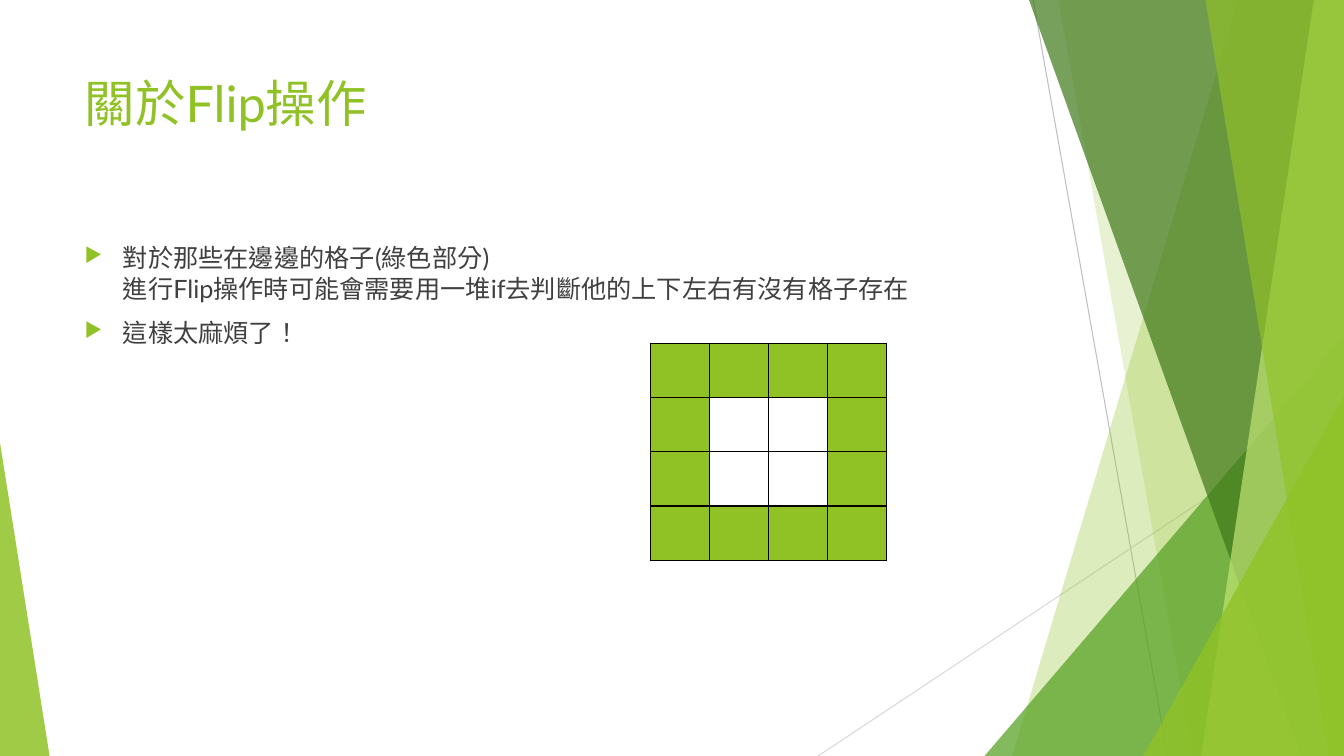
import pptx
import pptx.dml.color
import pptx.enum.lang
import pptx.enum.shapes
import pptx.enum.text
import pptx.oxml
import pptx.oxml.ns
import pptx.util
from lxml import etree

RGB = pptx.dml.color.RGBColor
LIME = RGB(0x90, 0xC2, 0x26)
GREEN = RGB(0x54, 0xA0, 0x21)
DARK_GREEN = RGB(0x3F, 0x78, 0x19)
PALE_LIME = RGB(0xC0, 0xE4, 0x74)
TEXT_GRAY = RGB(0x40, 0x40, 0x40)
LINE_GRAY = RGB(0xBF, 0xBF, 0xBF)
LIGHT_GRAY = RGB(0xD9, 0xD9, 0xD9)
WHITE = RGB(0xFF, 0xFF, 0xFF)
BLACK = RGB(0, 0, 0)

FONT = "Lato"
COLUMNS, ROWS = 160, 90
WIDTH, HEIGHT = pptx.util.Inches(13.33), pptx.util.Inches(7.5)
TEXT_LEFT, TEXT_WIDTH = 8.9, 112.8
BOARD_SIZE = 4


def grid_x(columns):
    return round(WIDTH * columns / COLUMNS)


def grid_y(rows):
    return round(HEIGHT * rows / ROWS)


def place(left, top, width, height):
    return grid_x(left), grid_y(top), grid_x(width), grid_y(height)


def add_xml(parent, tag, **attributes):
    return etree.SubElement(parent, pptx.oxml.ns.qn(tag), attributes)


def paint(shape, color, opacity):
    shape.shadow.inherit = False
    shape.line.fill.background()
    shape.fill.solid()
    shape.fill.fore_color.rgb = color
    color_node = shape.fill._xPr.find(".//" + pptx.oxml.ns.qn("a:srgbClr"))
    add_xml(color_node, "a:alpha", val=str(opacity * 1000))


def add_line(slide, start, end, color):
    line = slide.shapes.add_connector(
        pptx.enum.shapes.MSO_CONNECTOR.STRAIGHT,
        grid_x(start[0]), grid_y(start[1]), grid_x(end[0]), grid_y(end[1]))
    line.line.color.rgb = color
    line.line.width = pptx.util.Pt(0.75)
    add_xml(line._element.spPr, "a:effectLst")


def add_band(slide, top_left, bottom_left, color, opacity):
    """Fill from a slanted left edge to the right side of the slide."""
    builder = slide.shapes.build_freeform(grid_x(top_left), 0)
    corners = [(COLUMNS, 0), (COLUMNS, ROWS), (bottom_left, ROWS)]
    builder.add_line_segments([(grid_x(x), grid_y(y)) for x, y in corners], close=True)
    paint(builder.convert_to_shape(), color, opacity)


def add_triangle(slide, left, top, width, peak, color, opacity):
    """Stand a right triangle on the bottom edge, its peak at 0 (left) or 1 (right)."""
    triangle = slide.shapes.add_shape(
        pptx.enum.shapes.MSO_SHAPE.ISOSCELES_TRIANGLE,
        *place(left, top, width, ROWS - top))
    triangle.adjustments[0] = peak
    paint(triangle, color, opacity)


def add_span(para, text, size, color):
    span = para.add_run()
    span.text = text
    span.font.name = FONT
    span.font.size = pptx.util.Pt(size)
    span.font.color.rgb = color
    span.font.language_id = pptx.enum.lang.MSO_LANGUAGE_ID.TRADITIONAL_CHINESE


def set_frame(box):
    frame = box.text_frame
    frame.word_wrap = True
    frame.auto_size = pptx.enum.text.MSO_AUTO_SIZE.NONE
    frame.vertical_anchor = pptx.enum.text.MSO_ANCHOR.TOP
    return frame


def add_title(slide, text):
    title = slide.shapes.title
    title.left, title.top, title.width, title.height = place(TEXT_LEFT, 8, TEXT_WIDTH, 17.3)
    para = set_frame(title).paragraphs[0]
    para.alignment = pptx.enum.text.PP_ALIGN.LEFT
    add_span(para, text, 36, LIME)


def set_bullet(para):
    indent = pptx.util.Inches(0.38)
    properties = para._p.get_or_add_pPr()
    properties.set("marL", str(indent))
    properties.set("indent", str(-indent))
    bullet_color = add_xml(properties, "a:buClr")
    add_xml(bullet_color, "a:srgbClr", val=str(LIME))
    add_xml(properties, "a:buSzPct", val="80000")
    add_xml(properties, "a:buChar", char="▶")


def add_bullets(slide, items):
    frame = set_frame(slide.shapes.add_textbox(*place(TEXT_LEFT, 28.3, TEXT_WIDTH, 50.9)))
    for index, lines in enumerate(items):
        para = frame.add_paragraph() if index else frame.paragraphs[0]
        para.space_before = pptx.util.Pt(10)
        set_bullet(para)
        for number, line in enumerate(lines):
            if number:
                para.add_line_break()
            add_span(para, line, 18, TEXT_GRAY)


def set_cell(cell, color):
    properties = cell._tc.get_or_add_tcPr()
    for side in ("a:lnL", "a:lnR", "a:lnT", "a:lnB"):
        border = add_xml(properties, side, w=str(pptx.util.Pt(1)))
        add_xml(add_xml(border, "a:solidFill"), "a:srgbClr", val=str(BLACK))
    cell.fill.solid()
    cell.fill.fore_color.rgb = color


def add_board(slide):
    board = slide.shapes.add_table(
        BOARD_SIZE, BOARD_SIZE, *place(77.4, 40.9, 28.1, 25.8)).table
    board.first_row = False
    board.horz_banding = False
    edges = (0, BOARD_SIZE - 1)
    for row in range(BOARD_SIZE):
        for column in range(BOARD_SIZE):
            on_edge = row in edges or column in edges
            set_cell(board.cell(row, column), LIME if on_edge else WHITE)


def add_decoration(slide):
    add_line(slide, (123, 0), (139, ROWS), LINE_GRAY)
    add_line(slide, (COLUMNS, 48.4), (97.4, ROWS), LIGHT_GRAY)
    add_band(slide, 147.4, 120.5, LIME, 30)
    add_band(slide, 126, 142, LIME, 20)
    add_triangle(slide, 117.2, 40, 42.8, 1, GREEN, 72)
    add_band(slide, 122.5, 154.9, DARK_GREEN, 70)
    add_band(slide, 156.4, 143, PALE_LIME, 70)
    add_band(slide, 143.5, 158.2, LIME, 65)
    add_triangle(slide, 136.1, 47.2, 23.9, 1, LIME, 80)
    add_triangle(slide, 0, 52.7, 5.9, 0, LIME, 85)


def main():
    deck = pptx.Presentation()
    deck.slide_width, deck.slide_height = WIDTH, HEIGHT
    slide = deck.slides.add_slide(deck.slide_layouts.get_by_name("Title Only"))

    # Slanted green panels
    add_decoration(slide)

    # Wording
    add_title(slide, "關於Flip操作")
    add_bullets(slide, [
        ["對於那些在邊邊的格子(綠色部分)",
         "進行Flip操作時可能會需要用一堆if去判斷他的上下左右有沒有格子存在"],
        ["這樣太麻煩了！"],
    ])

    # Board with its edge cells in green
    add_board(slide)

    deck.save("out.pptx")


if __name__ == "__main__":
    main()
